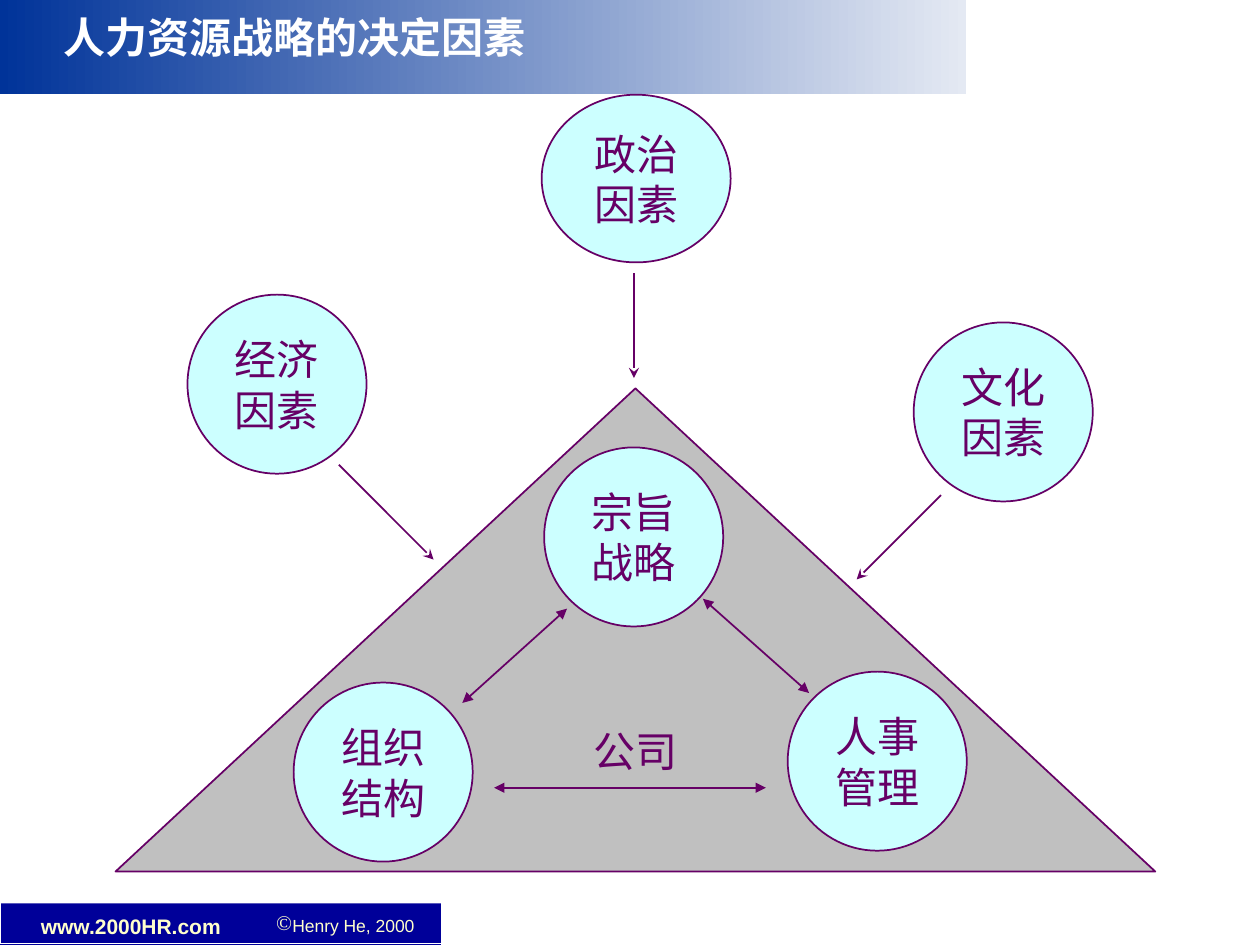
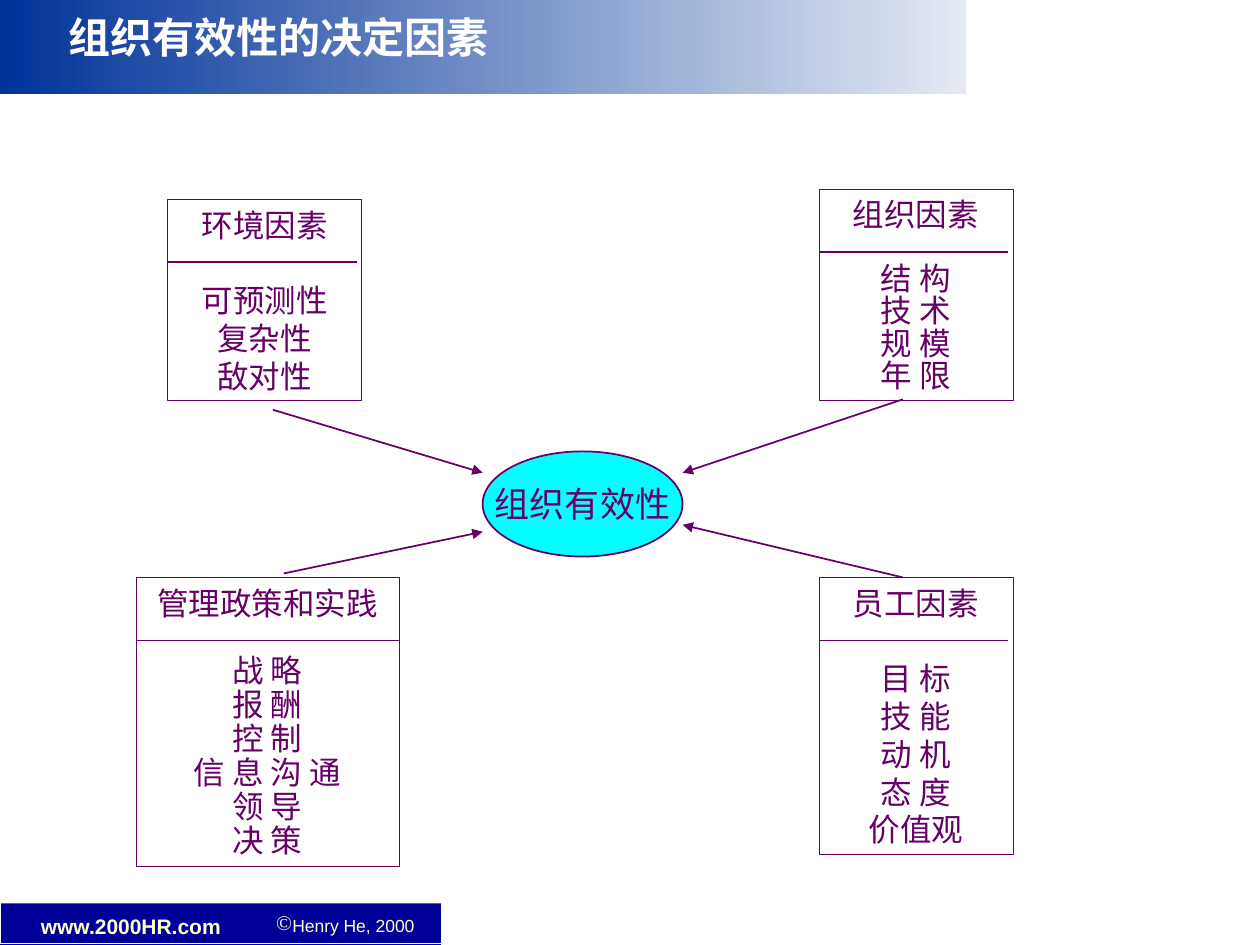
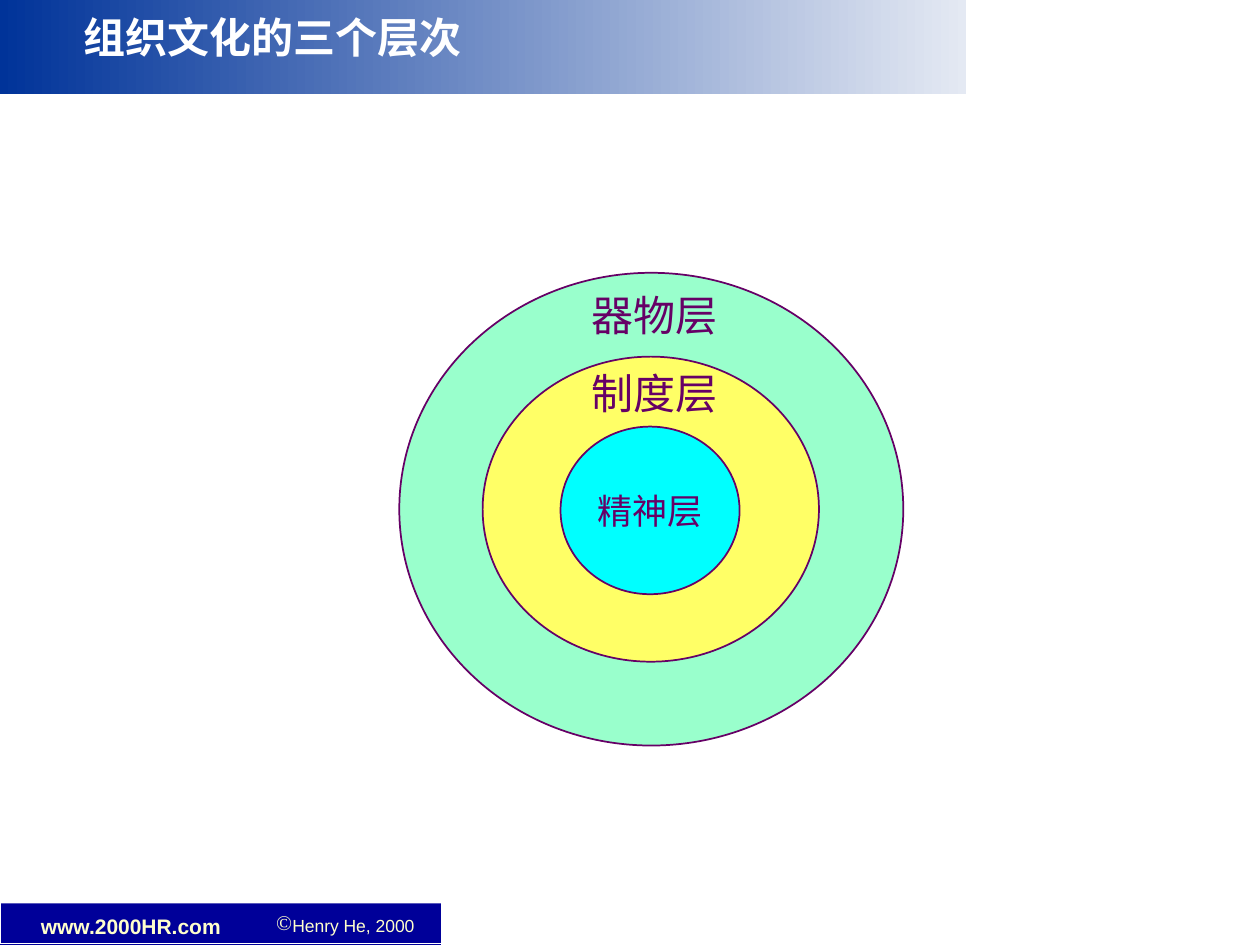
import pptx
import pptx.util
import pptx.dml.color
import pptx.enum.shapes
import pptx.enum.text
import lxml.etree
from pptx.oxml.ns import qn

Cm = pptx.util.Cm
Pt = pptx.util.Pt
Kind = pptx.enum.shapes.MSO_SHAPE
Align = pptx.enum.text.PP_ALIGN
Mid = pptx.enum.text.MSO_ANCHOR.MIDDLE
Top = pptx.enum.text.MSO_ANCHOR.TOP

HUES = {
    "plum": "660066", "white": "FFFFFF", "navy": "000099", "cream": "FFFFCC",
    "blue": "003399", "mist": "E4E9F3", "grey": "C0C0C0", "ice": "CCFFFF",
    "cyan": "00FFFF", "mint": "99FFCC", "lemon": "FFFF66",
}
RGB = {name: pptx.dml.color.RGBColor.from_string(code) for name, code in HUES.items()}


def write(frame, lines, size=24, hue="plum", face="Times New Roman", bold=False,
          align=Align.CENTER, wrap=False, anchor=Mid):
    fit = {"auto_size": pptx.enum.text.MSO_AUTO_SIZE.NONE,
           "word_wrap": wrap, "vertical_anchor": anchor}
    for key, value in fit.items():
        setattr(frame, key, value)
    look = {"name": face, "size": Pt(size), "bold": bold}
    for i, line in enumerate(lines):
        para = frame.add_paragraph() if i else frame.paragraphs[0]
        para.alignment = align
        run = para.add_run()
        run.text = line
        for key, value in look.items():
            setattr(run.font, key, value)
        run.font.color.rgb = RGB[hue]


def draw(slide, kind, box, fill=None, line="plum", width=1):
    shape = slide.shapes.add_shape(kind, *map(Cm, box))
    shape.shadow.inherit = False
    if fill:
        shape.fill.solid()
        shape.fill.fore_color.rgb = RGB[fill]
    else:
        shape.fill.background()
    if line:
        shape.line.color.rgb = RGB[line]
        shape.line.width = Pt(width)
    else:
        shape.line.fill.background()
    return shape


deck = pptx.Presentation()
deck.slide_width, deck.slide_height = Cm(25.4), Cm(19.05)
layout = deck.slide_layouts[5]

titles = [("人力资源战略的决定因素", 11.86), ("组织有效性的决定因素", 11.23), ("组织文化的三个层次", 11)]
slides = []
for text, width in titles:
    slide = deck.slides.add_slide(layout)
    title = slide.shapes.title
    place = {"left": 0, "top": 0, "width": Cm(width), "height": Cm(1.48)}
    for key, value in place.items():
        setattr(title, key, value)
    write(title.text_frame, [text], hue="white", bold=True, wrap=True)
    slides.append(slide)
force, effect, culture = slides

foot = draw(force, Kind.RECTANGLE, (0, 18.21, 8.89, 0.84), "navy", None)
edge = draw(force, Kind.RECTANGLE, (0, 0, 25.32, 19.02), None, "white")
band = draw(force, Kind.RECTANGLE, (0, 0, 19.48, 1.9), None, None)
band.fill.gradient()
band.fill.gradient_angle = 0
for stop, hue in zip(band.fill.gradient_stops, ("blue", "mist")):
    stop.color.rgb = RGB[hue]

site = force.shapes.add_textbox(0, Cm(18.29), Cm(5.28), Cm(0.76))
write(site.text_frame, ["www.2000HR.com"], 12, "cream", "Arial", True, wrap=True, anchor=Top)

credit = force.shapes.add_textbox(Cm(5.56), Cm(18.49), Cm(2.97), Cm(0.38))
for side in ("left", "top", "right", "bottom"):
    setattr(credit.text_frame, "margin_" + side, 0)
para = credit.text_frame.paragraphs[0]
props = para._p.get_or_add_pPr()
props.set("marL", str(Cm(0.25)))
props.set("indent", str(-Cm(0.25)))
tint = lxml.etree.SubElement(props, qn("a:buClr"))
lxml.etree.SubElement(tint, qn("a:srgbClr")).set("val", HUES["cream"])
lxml.etree.SubElement(props, qn("a:buSzPct")).set("val", "120000")
lxml.etree.SubElement(props, qn("a:buChar")).set("char", "©")
para.line_spacing = 0.9
write(credit.text_frame, ["Henry He, 2000"], 10, "cream", "Arial", align=Align.LEFT, wrap=True)

for shape in (foot, edge, credit, site, band):
    layout.shapes.element.append(shape.element)

firm = draw(force, Kind.ISOSCELES_TRIANGLE, (2.33, 7.83, 20.96, 9.74), "grey")
write(firm.text_frame, ["公司"])
discs = [
    (("宗旨", "战略"), 10.97, 9.02, 3.61, 3.61),
    (("政治", "因素"), 10.92, 1.91, 3.81, 3.38),
    (("人事", "管理"), 15.88, 13.54, 3.61, 3.61),
    (("组织", "结构"), 5.92, 13.76, 3.61, 3.61),
    (("文化", "因素"), 18.42, 6.5, 3.61, 3.61),
    (("经济", "因素"), 3.78, 5.94, 3.61, 3.61),
]
for lines, *box in discs:
    write(draw(force, Kind.OVAL, box, "ice").text_frame, lines)

links = [
    (force, 6.83, 9.37, 8.74, 11.28, None, "stealth"),
    (force, 18.97, 9.98, 17.27, 11.68, None, "stealth"),
    (force, 12.78, 5.51, 12.78, 7.62, None, "stealth"),
    (force, 14.17, 12.07, 16.31, 13.97, "triangle", "triangle"),
    (force, 11.43, 12.27, 9.32, 14.17, "triangle", "triangle"),
    (force, 9.96, 15.88, 15.44, 15.88, "triangle", "triangle"),
    (effect, 5.72, 11.56, 9.73, 10.72, None, "triangle"),
    (effect, 5.5, 8.26, 9.73, 9.53, None, "triangle"),
    (effect, 18.2, 8.05, 13.76, 9.53, None, "triangle"),
    (effect, 18.2, 11.64, 13.76, 10.58, None, "triangle"),
]

panels = [
    ((3.38, 4.02, 3.91, 4.06), 3.81, 1, ["环境因素", "可预测性", "复杂性", "敌对性"]),
    ((16.51, 3.81, 3.91, 4.27), 3.81, 0.85, ["组织因素", "结 构", "技 术", "规 模", "年 限"]),
    ((16.51, 11.64, 3.91, 5.59), 3.81, 1,
     ["员工因素", "目 标", "技 能", "动 机", "态 度", "价值观"]),
    ((2.74, 11.64, 5.3, 5.82), 5.3, 0.9,
     ["管理政策和实践", "战 略", "报 酬", "控 制", "信 息 沟 通", "领 导", "决 策"]),
]
for box, width, pitch, lines in panels:
    frame = draw(effect, Kind.RECTANGLE, box, width=0.25).text_frame
    write(frame, lines, 18, wrap=True, anchor=Top)
    for para in frame.paragraphs[1:]:
        para.line_spacing = pitch
    frame.paragraphs[1].space_before = Pt(round(21.6 * pitch, 1))
    left, top = box[:2]
    links.append((effect, left, top + 1.27, left + width, top + 1.27, None, None))

core = draw(effect, Kind.OVAL, (9.73, 9.1, 4.03, 2.12), "cyan")
write(core.text_frame, ["组织有效性"], 20)

for slide, x1, y1, x2, y2, head, tail in links:
    link = slide.shapes.add_connector(
        pptx.enum.shapes.MSO_CONNECTOR.STRAIGHT, *map(Cm, (x1, y1, x2, y2)))
    link.line.color.rgb = RGB["plum"]
    link.line.width = Pt(1)
    stroke = link.line._get_or_add_ln()
    for tag, tip in (("a:headEnd", head), ("a:tailEnd", tail)):
        if tip:
            lxml.etree.SubElement(stroke, qn(tag)).set("type", tip)
    lxml.etree.SubElement(link.element.spPr, qn("a:effectLst"))

draw(culture, Kind.OVAL, (8.05, 5.5, 10.16, 9.53), "mint")
draw(culture, Kind.OVAL, (9.73, 7.19, 6.78, 6.15), "lemon")
heart = draw(culture, Kind.OVAL, (11.3, 8.6, 3.61, 3.38), "cyan")
write(heart.text_frame, ["精神层"], 20)
for text, top in (("制度层", 7.29), ("器物层", 5.72)):
    label = culture.shapes.add_textbox(Cm(11.68), Cm(top), Cm(3.05), Cm(1.27))
    write(label.text_frame, [text], align=Align.LEFT, anchor=Top)

deck.save("out.pptx")
